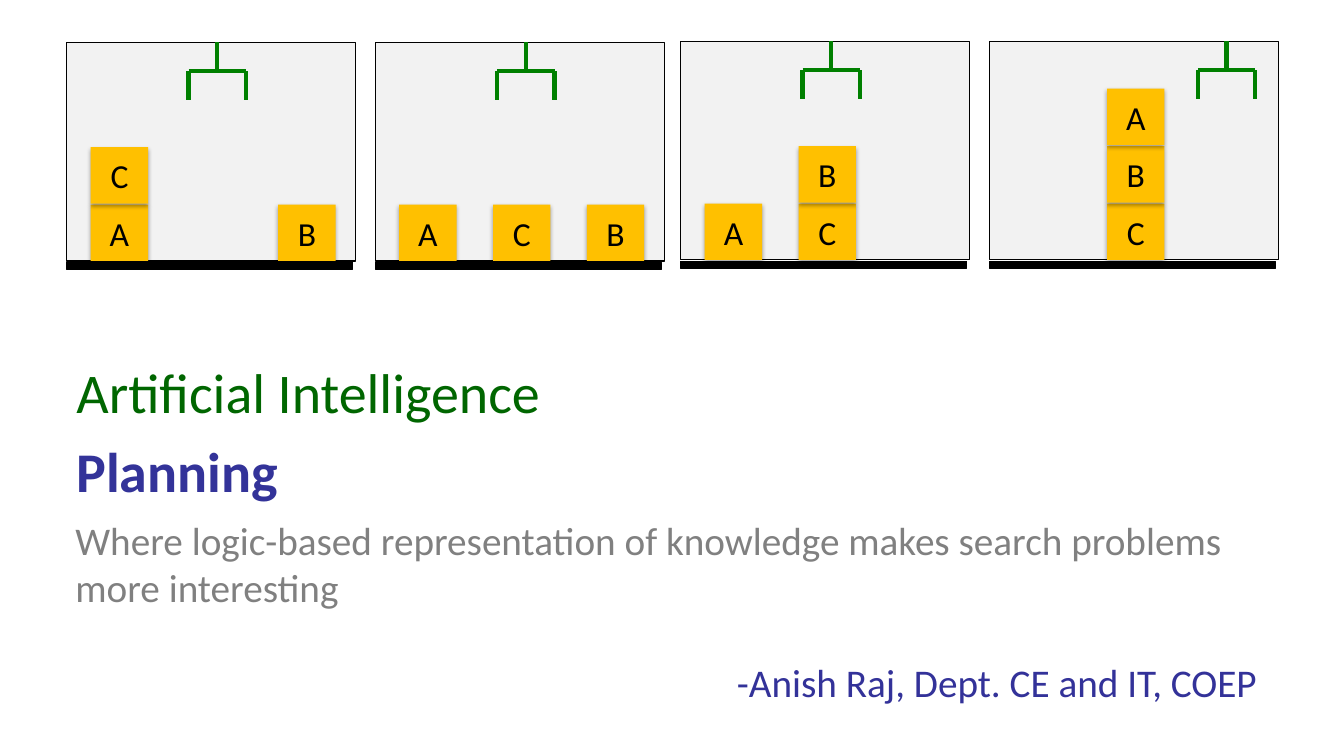
"""Build the blocks-world title slide for a lecture on planning."""
from dataclasses import dataclass

from lxml.etree import SubElement
from pptx import Presentation
from pptx.dml.color import RGBColor
from pptx.enum.shapes import MSO_CONNECTOR, MSO_SHAPE
from pptx.enum.text import MSO_ANCHOR, PP_ALIGN
from pptx.oxml.ns import qn
from pptx.shapes.autoshape import Shape
from pptx.shapes.shapetree import GroupShapes, SlideShapes
from pptx.util import Inches, Pt

BLACK = RGBColor(0x00, 0x00, 0x00)
PALE = RGBColor(0xF2, 0xF2, 0xF2)
GOLD = RGBColor(0xFF, 0xC0, 0x00)
GREEN = RGBColor(0x00, 0x80, 0x00)
DARK = RGBColor(0x00, 0x66, 0x00)
BLUE = RGBColor(0x33, 0x32, 0x99)
NAVY = RGBColor(0x33, 0x33, 0x99)
GRAY = RGBColor(0x80, 0x80, 0x80)

FONT = "Calibri"
STEP = 0.93
RISE = 0.57
PRONG = 0.285


@dataclass(frozen=True)
class Scene:
    """One state: its corner, its claw offset and its stacks, bottom first."""
    left: float
    top: float
    claw: float
    stacks: tuple[str, str, str]


@dataclass(frozen=True)
class Line:
    """One paragraph of text and its look."""
    text: str
    size: int
    color: RGBColor
    bold: bool = False
    align: PP_ALIGN = PP_ALIGN.LEFT
    before: int = 0


SCENES = [
    Scene(0.66, 0.42, 1.21, ("AC", "", "B")),
    Scene(3.72, 0.42, 1.21, ("A", "C", "B")),
    Scene(6.75, 0.41, 1.21, ("A", "CB", "")),
    Scene(9.81, 0.41, 2.07, ("", "CBA", "")),
]
TITLE = [
    Line("Artificial Intelligence", 40, DARK),
    Line("Planning", 40, NAVY, bold=True, before=8),
]
NOTES = [
    Line("Where logic-based representation of knowledge makes search "
         "problems more interesting", 28, GRAY),
    Line("-Anish Raj, Dept. CE and IT, COEP ", 28, BLUE,
         align=PP_ALIGN.RIGHT, before=34),
]


def add_rect(shapes: GroupShapes, left: float, top: float, width: float,
             height: float, fill: RGBColor, edge: bool = True) -> Shape:
    """Add a flat rectangle, with a thin black edge if asked."""
    rect = shapes.add_shape(MSO_SHAPE.RECTANGLE, Inches(left), Inches(top),
                            Inches(width), Inches(height))
    rect.shadow.inherit = False
    rect.fill.solid()
    rect.fill.fore_color.rgb = fill
    if edge:
        rect.line.color.rgb = BLACK
        rect.line.width = Pt(0.75)
    else:
        rect.line.fill.background()
    return rect


def add_block(shapes: GroupShapes, left: float, top: float, name: str) -> None:
    """Add a lettered block with a soft shadow below it."""
    block = add_rect(shapes, left, top, 0.57, 0.56, GOLD, edge=False)
    effects = block._element.spPr.find(qn("a:effectLst"))
    shade = SubElement(effects, qn("a:outerShdw"), blurRad=str(Pt(3.1)),
                       dist=str(Pt(1.8)), dir="5400000", rotWithShape="0")
    color = SubElement(shade, qn("a:srgbClr"), val=str(BLACK))
    SubElement(color, qn("a:alpha"), val="35000")
    frame = block.text_frame
    frame.word_wrap = False
    frame.vertical_anchor = MSO_ANCHOR.MIDDLE
    write(block, [Line(name, 24, BLACK, align=PP_ALIGN.CENTER)])


def add_claw(shapes: GroupShapes, left: float, top: float) -> None:
    """Add the robot claw: a bar, two prongs and a cable."""
    mid, right = left + PRONG, left + 2 * PRONG
    bar, tip = top + PRONG, top + 2 * PRONG
    for x1, y1, x2, y2 in [(left, bar, right, bar), (left, bar, left, tip),
                           (mid, top, mid, bar), (right, bar, right, tip)]:
        part = shapes.add_connector(MSO_CONNECTOR.STRAIGHT, Inches(x1),
                                    Inches(y1), Inches(x2), Inches(y2))
        part.line.color.rgb = GREEN
        part.line.width = Pt(3)
        SubElement(part._element.spPr, qn("a:effectLst"))


def add_scene(shapes: SlideShapes, scene: Scene) -> None:
    """Add one state of the blocks world as a group."""
    group = shapes.add_group_shape().shapes
    add_rect(group, scene.left, scene.top, 2.87, 2.17, PALE)
    add_rect(group, scene.left, scene.top + 2.18, 2.84, 0.07, BLACK)
    for column, stack in enumerate(scene.stacks):
        for level, name in enumerate(stack):
            add_block(group, scene.left + 0.24 + column * STEP,
                      scene.top + 1.61 - level * RISE, name)
    add_claw(group, scene.left + scene.claw, scene.top)


def write(shape: Shape, lines: list[Line]) -> None:
    """Fill a shape with styled paragraphs."""
    frame = shape.text_frame
    for index, line in enumerate(lines):
        para = frame.add_paragraph() if index else frame.paragraphs[0]
        para.text = line.text
        para.alignment = line.align
        if line.before:
            para.space_before = Pt(line.before)
        para.font.name = FONT
        para.font.size = Pt(line.size)
        para.font.bold = line.bold
        para.font.color.rgb = line.color


def add_text(shapes: SlideShapes, left: float, top: float, width: float,
             height: float, anchor: MSO_ANCHOR, lines: list[Line]) -> None:
    """Add a wrapped text box."""
    box = shapes.add_textbox(Inches(left), Inches(top), Inches(width),
                             Inches(height))
    box.text_frame.word_wrap = True
    box.text_frame.vertical_anchor = anchor
    write(box, lines)


def main() -> None:
    """Build and save the slide."""
    deck = Presentation()
    deck.slide_width, deck.slide_height = Inches(13.33), Inches(7.5)
    shapes = deck.slides.add_slide(deck.slide_layouts[6]).shapes
    add_text(shapes, 0.65, 5.15, 12, 1.82, MSO_ANCHOR.MIDDLE, NOTES)
    add_text(shapes, 0.66, 3.5, 8.5, 1.72, MSO_ANCHOR.TOP, TITLE)
    for scene in SCENES:
        add_scene(shapes, scene)
    deck.save("out.pptx")


if __name__ == "__main__":
    main()
